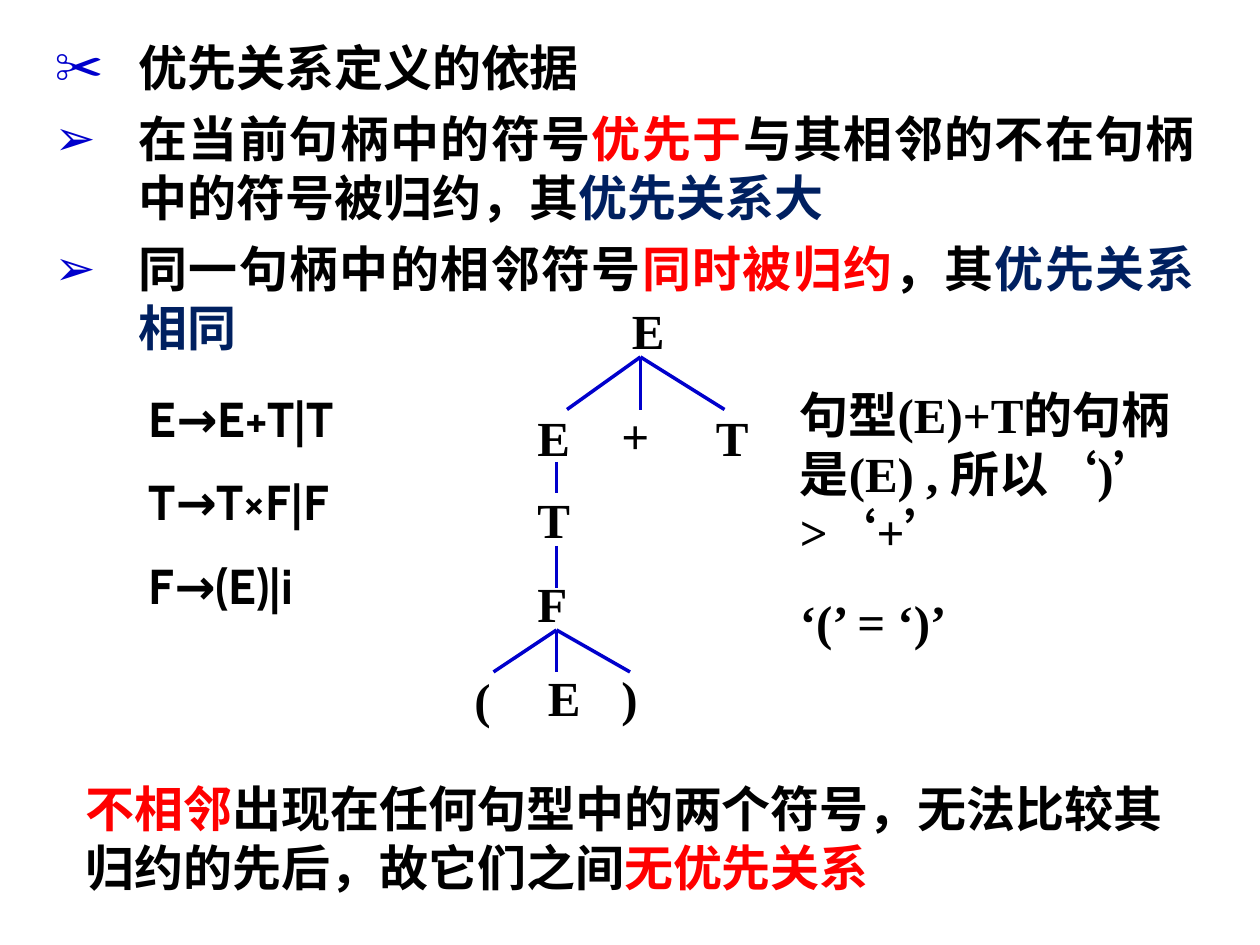
from typing import NamedTuple

from lxml.etree import SubElement
from pptx import Presentation
from pptx.dml.color import RGBColor
from pptx.enum.shapes import MSO_CONNECTOR
from pptx.enum.text import MSO_ANCHOR, MSO_AUTO_SIZE, PP_ALIGN
from pptx.oxml.ns import qn
from pptx.util import Pt

PX = 7620  # EMU per px, 120 px to the inch
BLACK = RGBColor(0x00, 0x00, 0x00)
RED = RGBColor(0xFF, 0x00, 0x00)
NAVY = RGBColor(0x00, 0x20, 0x60)
BLUE = RGBColor(0x00, 0x00, 0xCC)
SERIF = "Times New Roman"
INDENT = 80


class Run(NamedTuple):
    text: str
    color: RGBColor = BLACK


class Bullet(NamedTuple):
    char: str
    runs: list[Run]


class Node(NamedTuple):
    text: str
    x: int
    y: int


class Fan(NamedTuple):
    """Branches from one parent point down to a row of children."""
    x: int
    y: int
    child_xs: list[int]
    child_y: int


BULLETS = [
    Bullet("✂", [Run("优先关系定义的依据")]),
    Bullet("➢", [Run("在当前句柄中的符号"), Run("优先于", RED),
                 Run("与其相邻的不在句柄中的符号被归约，其"), Run("优先关系大", NAVY)]),
    Bullet("➢", [Run("同一句柄中的相邻符号"), Run("同时被归约", RED),
                 Run("，其"), Run("优先关系相同", NAVY)]),
]
CONCLUSION = [Run("不相邻", RED),
              Run("出现在任何句型中的两个符号，无法比较其归约的先后，故它们之间"),
              Run("无优先关系", RED)]
GRAMMAR = ["E→E+T|T", "T→T×F|F", "F→(E)|i"]
EXAMPLE = ["句型(E)+T的句柄是(E) , 所以‘)’ >‘+’", "‘(’ = ‘)’"]
NODES = [
    Node("E", 590, 280),
    Node("E", 500, 382), Node("+", 580, 380), Node("T", 670, 382),
    Node("T", 500, 460), Node("F", 500, 540),
    Node("(", 440, 632), Node("E", 510, 630), Node(")", 580, 630),
]
NODE_W, NODE_H = 60, 68
FANS = [
    Fan(610, 340, [540, 610, 690], 390),
    Fan(530, 440, [530], 470),
    Fan(530, 520, [530], 560),
    Fan(530, 600, [470, 530, 600], 640),
]


def set_attrs(obj, values: dict) -> None:
    for name, value in values.items():
        setattr(obj, name, value)


def add_runs(p, runs: list[Run], font: str = SERIF) -> None:
    for run in runs:
        r = p.add_run()
        r.text = run.text
        set_attrs(r.font, {"name": font, "size": Pt(28), "bold": True})
        r.font.color.rgb = run.color


def fill_paragraphs(tf, paragraphs: list[list[Run]], font: str = SERIF,
                    gap: float = 17.5, **fmt) -> None:
    for i, runs in enumerate(paragraphs):
        p = tf.add_paragraph() if i else tf.paragraphs[0]
        set_attrs(p, {"space_before": Pt(gap if i else 0), **fmt})
        add_runs(p, runs, font)


def add_text(shapes, x: int, y: int, w: int, h: int,
             paragraphs: list[list[Run]], **fmt) -> None:
    tf = shapes.add_textbox(x * PX, y * PX, w * PX, h * PX).text_frame
    set_attrs(tf, {"word_wrap": True, "auto_size": MSO_AUTO_SIZE.SHAPE_TO_FIT_TEXT})
    fill_paragraphs(tf, paragraphs, **fmt)


def set_bullet(p, char: str) -> None:
    """Give the paragraph a hanging indent and a blue bullet."""
    pPr = p._p.get_or_add_pPr()
    pPr.set("marL", str(INDENT * PX))
    pPr.set("indent", str(-INDENT * PX))
    color = SubElement(SubElement(pPr, qn("a:buClr")), qn("a:srgbClr"))
    color.set("val", str(BLUE))
    SubElement(pPr, qn("a:buChar")).set("char", char)


def fill_body(body) -> None:
    set_attrs(body, {"left": 40 * PX, "top": 30 * PX,
                     "width": 1110 * PX, "height": 320 * PX})
    tf = body.text_frame
    set_attrs(tf, {"word_wrap": True, "auto_size": MSO_AUTO_SIZE.NONE,
                   "vertical_anchor": MSO_ANCHOR.TOP})
    fill_paragraphs(tf, [b.runs for b in BULLETS], gap=7, alignment=PP_ALIGN.JUSTIFY)
    for p, bullet in zip(tf.paragraphs, BULLETS):
        set_bullet(p, bullet.char)


def add_fan(shapes, fan: Fan) -> None:
    for x in fan.child_xs:
        line = shapes.add_connector(MSO_CONNECTOR.STRAIGHT, fan.x * PX, fan.y * PX,
                                    x * PX, fan.child_y * PX)
        line.line.color.rgb = BLUE
        line.line.width = Pt(2)
        SubElement(line._element.spPr, qn("a:effectLst"))


def add_parse_tree(slide) -> None:
    shapes = slide.shapes.add_group_shape().shapes
    for node in NODES:
        add_text(shapes, node.x, node.y, NODE_W, NODE_H, [[Run(node.text)]])
    for fan in FANS:
        add_fan(shapes, fan)


def main() -> None:
    prs = Presentation()
    set_attrs(prs, {"slide_width": 1200 * PX, "slide_height": 900 * PX})
    slide = prs.slides.add_slide(prs.slide_layouts[1])
    title = slide.shapes.title._element
    title.getparent().remove(title)

    fill_body(slide.placeholders[1])
    add_text(slide.shapes, 70, 736, 1080, 125, [CONCLUSION])
    add_text(slide.shapes, 130, 370, 310, 222, [[Run(t)] for t in GRAMMAR],
             font="Cabin", line_spacing=0.9)
    add_parse_tree(slide)
    add_text(slide.shapes, 750, 360, 420, 265, [[Run(t)] for t in EXAMPLE])
    prs.save("out.pptx")


if __name__ == "__main__":
    main()
